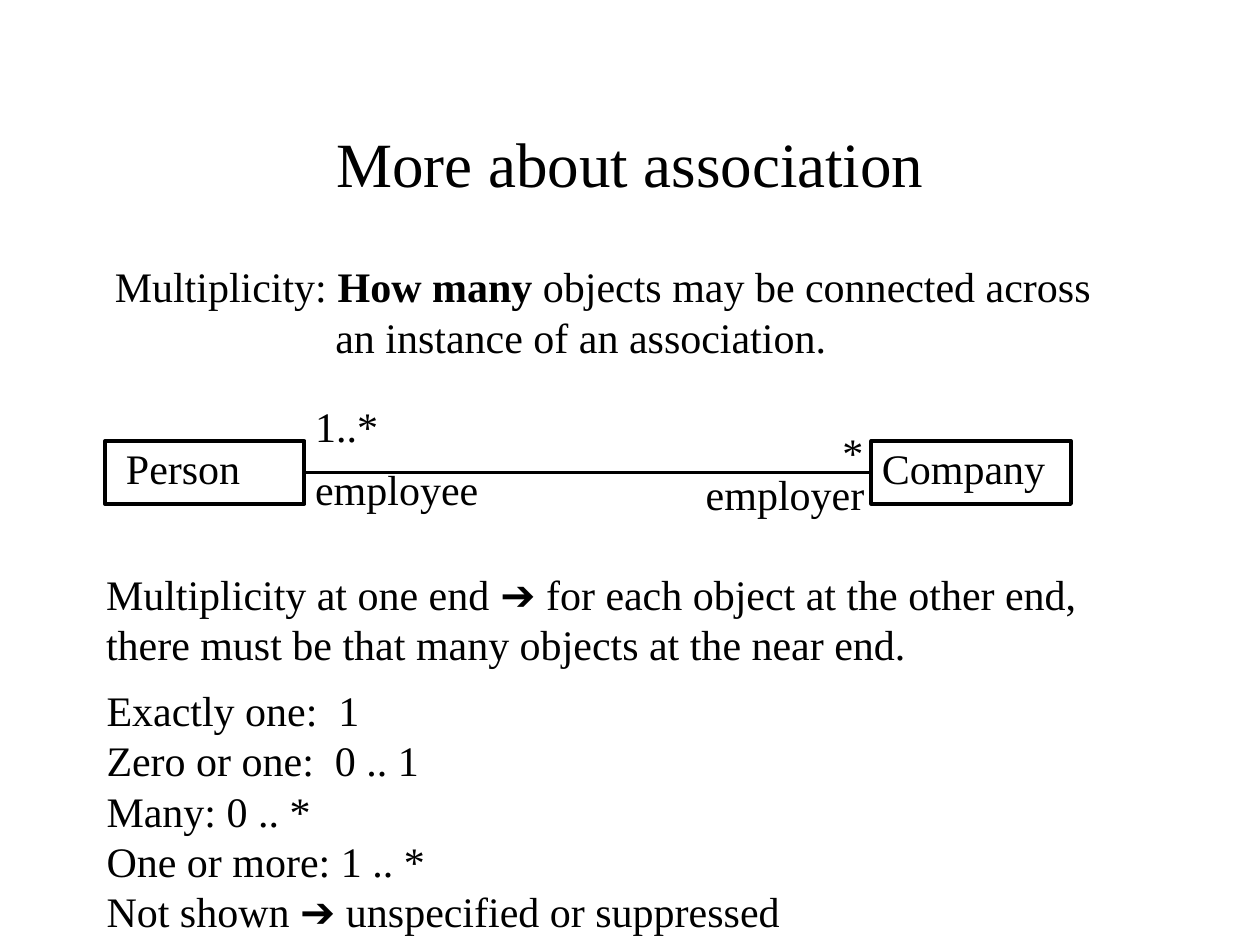
"""Build a slide on the multiplicity of associations."""
from dataclasses import dataclass

from lxml import etree
from pptx import Presentation
from pptx.dml.color import RGBColor
from pptx.enum.shapes import MSO_CONNECTOR, MSO_SHAPE
from pptx.enum.text import MSO_ANCHOR, PP_ALIGN
from pptx.oxml.ns import qn
from pptx.util import Pt

LEFT, CENTER, RIGHT = PP_ALIGN.LEFT, PP_ALIGN.CENTER, PP_ALIGN.RIGHT
TOP, MIDDLE = MSO_ANCHOR.TOP, MSO_ANCHOR.MIDDLE
RECTANGLE, STRAIGHT = MSO_SHAPE.RECTANGLE, MSO_CONNECTOR.STRAIGHT
RIGHT_SITE, LEFT_SITE = 3, 1


@dataclass(frozen=True)
class Theme:
    """Fonts, sizes and colours of the slide."""
    font: str = "Times New Roman"
    arrow_font: str = "Arial"
    title: float = 36
    body: float = 24
    line: float = 2.25
    ink: RGBColor = RGBColor(0, 0, 0)


THEME = Theme()
ARROW = ("➔", {"name": THEME.arrow_font})

TITLE = [["More about association"]]
DEFINITION = [
    ["Multiplicity: ", ("How many", {"bold": True}), " objects may be connected across"],
    ["an instance of an association."],
]
RULE = [
    ["Multiplicity at one end ", ARROW, " for each object at the other end,"],
    ["there must be that many objects at the near end."],
]
NOTATION = [
    ["Exactly one:  1"],
    ["Zero or one:  0 .. 1"],
    ["Many: 0 .. *"],
    ["One or more: 1 .. *"],
    ["Not shown ", ARROW, " unspecified or suppressed"],
]
TEXTS = [
    (TITLE, (54, 48, 612, 90),
     {"size": THEME.title, "align": CENTER, "anchor": MIDDLE}),
    (DEFINITION, (58.5, 145.5, 580, 65), {"indents": (0, 126)}),
    (RULE, (53.5, 321.3, 580, 65), {}),
    (NOTATION, (53.8, 387.5, 410, 151), {}),
]
CLASSES = [("Person", 60, 12), ("Company", 498, 6)]
CLASS_TOP, CLASS_WIDTH, CLASS_HEIGHT = 252, 114, 36
END_LABELS = [
    ("1..*", (173, 225.5, 56, 36), LEFT),
    ("employee", (173, 261.5, 113, 36), LEFT),
    ("*", (470.5, 240, 30, 36), RIGHT),
    ("employer", (390, 264.2, 111, 36), RIGHT),
]


def write(shape, paragraphs, *, size=THEME.body, align=LEFT, anchor=TOP,
          indents=(), insets=(7.2, 3.6, 7.2, 3.6)):
    """Fill a shape with paragraphs of plain or styled runs."""
    frame = shape.text_frame
    frame.word_wrap = True
    frame.vertical_anchor = anchor
    (frame.margin_left, frame.margin_top,
     frame.margin_right, frame.margin_bottom) = map(Pt, insets)
    for index, parts in enumerate(paragraphs):
        paragraph = frame.paragraphs[0] if index == 0 else frame.add_paragraph()
        paragraph.alignment = align
        if index < len(indents):
            properties = paragraph._p.get_or_add_pPr()
            properties.set("marL", str(Pt(indents[index])))
            properties.set("indent", "0")
        for part in parts:
            words, style = (part, {}) if isinstance(part, str) else part
            run = paragraph.add_run()
            run.text = words
            run.font.size = Pt(size)
            run.font.color.rgb = THEME.ink
            run.font.name = style.get("name", THEME.font)
            run.font.bold = style.get("bold", False)


def add_text(slide, paragraphs, box, **style):
    """Add a text box at the given place."""
    write(slide.shapes.add_textbox(*map(Pt, box)), paragraphs, **style)


def add_class(slide, label, left, inset):
    """Add an outlined class box with its name."""
    box = slide.shapes.add_shape(
        RECTANGLE, Pt(left), Pt(CLASS_TOP), Pt(CLASS_WIDTH), Pt(CLASS_HEIGHT))
    box.shadow.inherit = False
    box.fill.background()
    box.line.color.rgb = THEME.ink
    box.line.width = Pt(THEME.line)
    write(box, [[label]], anchor=MIDDLE, insets=(inset, 0, 0, 5.5))
    return box


def add_association(slide, source, target):
    """Join two class boxes with a line."""
    link = slide.shapes.add_connector(STRAIGHT, 0, 0, 0, 0)
    link.begin_connect(source, RIGHT_SITE)
    link.end_connect(target, LEFT_SITE)
    link.line.color.rgb = THEME.ink
    link.line.width = Pt(THEME.line)
    etree.SubElement(link._element.spPr, qn("a:effectLst"))


def main():
    """Assemble and save the slide."""
    deck = Presentation()
    deck.slide_width, deck.slide_height = Pt(720), Pt(540)
    slide = deck.slides.add_slide(deck.slide_layouts[6])
    for paragraphs, box, style in TEXTS:
        add_text(slide, paragraphs, box, **style)
    person, company = [add_class(slide, *item) for item in CLASSES]
    add_association(slide, person, company)
    for label, box, align in END_LABELS:
        add_text(slide, [[label]], box, align=align)
    deck.save("out.pptx")


if __name__ == "__main__":
    main()
